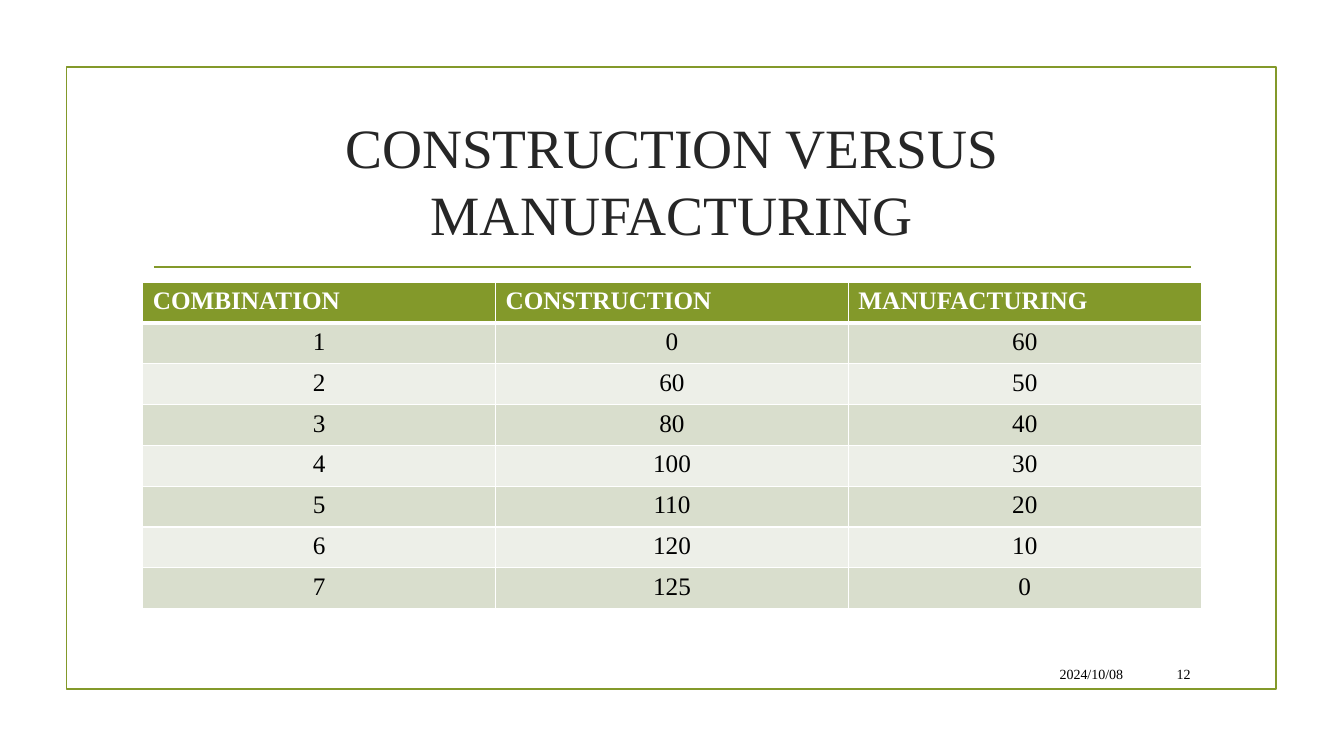
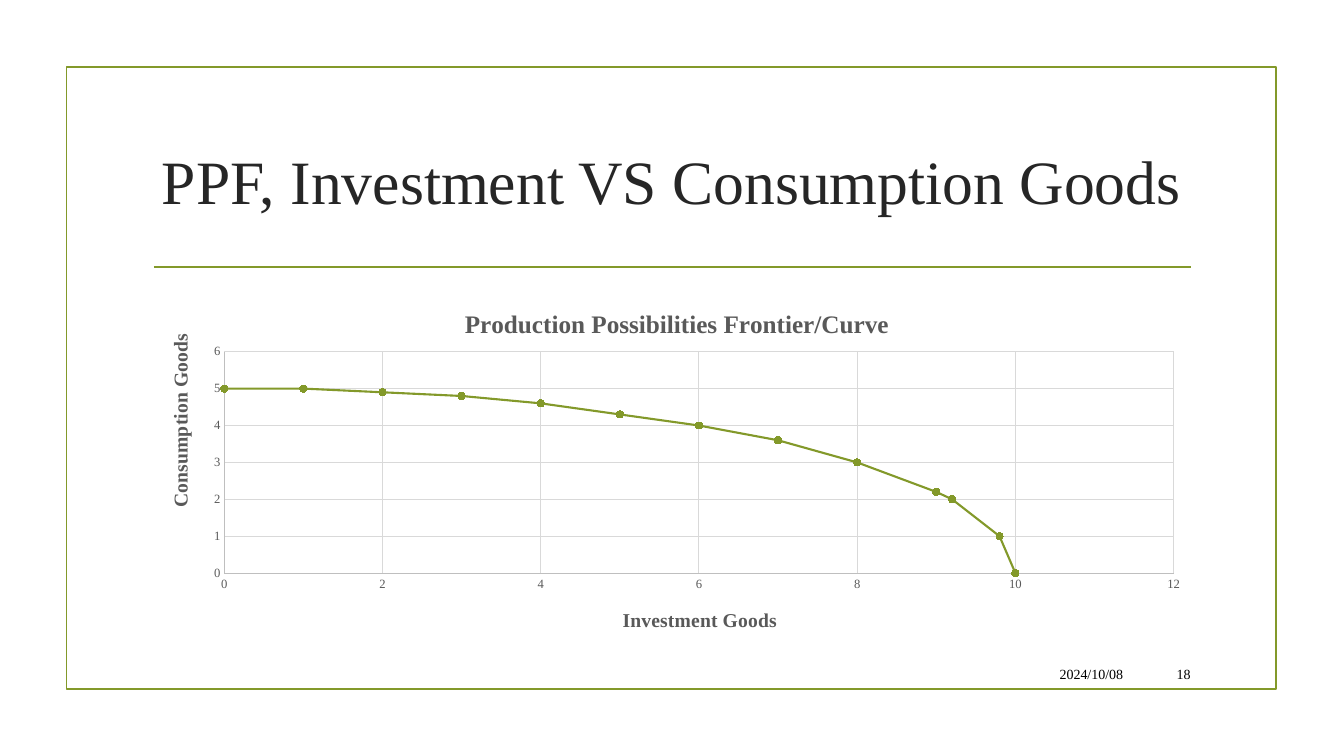
from dataclasses import dataclass

from lxml import etree
from pptx import Presentation
from pptx.chart.data import XyChartData
from pptx.dml.color import RGBColor
from pptx.enum import chart as charts, shapes, text
from pptx.oxml import parse_xml
from pptx.oxml.ns import nsdecls, qn
from pptx.util import Pt

GREEN = RGBColor(0x83, 0x99, 0x2A)
BAND_DARK = RGBColor(0xD9, 0xDE, 0xCD)
BAND_LIGHT = RGBColor(0xED, 0xEF, 0xE8)
WHITE = RGBColor(0xFF, 0xFF, 0xFF)
BLACK = RGBColor(0, 0, 0)
TITLE_INK = RGBColor(0x26, 0x26, 0x26)
CHART_INK = RGBColor(0x59, 0x59, 0x59)
AXIS_GREY = RGBColor(0xBF, 0xBF, 0xBF)
GRID_GREY = RGBColor(0xD9, 0xD9, 0xD9)
FONT = "Times New Roman"
LEFT, CENTER, RIGHT = text.PP_ALIGN.LEFT, text.PP_ALIGN.CENTER, text.PP_ALIGN.RIGHT
DATE = "2024/10/08"


@dataclass(frozen=True)
class Box:
    left: float
    top: float
    width: float
    height: float

    def lengths(self) -> tuple:
        return tuple(Pt(value) for value in (self.left, self.top, self.width, self.height))


@dataclass(frozen=True)
class AxisStyle:
    title: str
    maximum: float
    unit: float
    title_left: float
    title_top: float


FRAME = Box(47.5, 48, 864, 444)
TITLE = Box(102, 77, 756, 103)
TABLE = Box(102, 201.6, 756, 233.3)
CHART = Box(102, 201.6, 756, 261.4)
DATE_BOX = Box(683.3, 470.2, 126, 22.3)
NUMBER_BOX = Box(815, 470.2, 42.5, 22.3)
RULE_START, RULE_END, RULE_TOP = 110, 850.5, 190.8

COMBINATIONS = [
    ("COMBINATION", "CONSTRUCTION", "MANUFACTURING"),
    (1, 0, 60),
    (2, 60, 50),
    (3, 80, 40),
    (4, 100, 30),
    (5, 110, 20),
    (6, 120, 10),
    (7, 125, 0),
]
FRONTIER = [
    (0, 5), (1, 5), (2, 4.9), (3, 4.8), (4, 4.6), (5, 4.3), (6, 4),
    (7, 3.6), (8, 3), (9, 2.2), (9.2, 2), (9.8, 1), (10, 0),
]
INVESTMENT = AxisStyle("Investment Goods", 12, 2, 0.45, 0.88)
CONSUMPTION = AxisStyle("Consumption Goods", 6, 1, 0.02, 0.13)


def style_font(font, *, size: float, color: RGBColor, bold: bool = False) -> None:
    font.name = FONT
    font.size = Pt(size)
    font.bold = bold
    font.color.rgb = color


def write(frame, content: str, *, size: float, color: RGBColor = BLACK,
          bold: bool = False, align=None) -> None:
    paragraph = frame.paragraphs[0]
    if align is not None:
        paragraph.alignment = align
    run = paragraph.add_run()
    run.text = content
    style_font(run.font, size=size, color=color, bold=bold)


def style_line(line, color: RGBColor, width: float) -> None:
    line.color.rgb = color
    line.width = Pt(width)


def add_footer(slide, box: Box, content: str) -> None:
    frame = slide.shapes.add_textbox(*box.lengths()).text_frame
    frame.word_wrap = True
    frame.vertical_anchor = text.MSO_ANCHOR.MIDDLE
    write(frame, content, size=10, align=RIGHT)


def add_slide(presentation, title: str, title_size: float, number: int):
    slide = presentation.slides.add_slide(presentation.slide_layouts[5])
    border = slide.shapes.add_shape(shapes.MSO_SHAPE.RECTANGLE, *FRAME.lengths())
    border.shadow.inherit = False
    border.fill.background()
    style_line(border.line, GREEN, 1.25)
    rule = slide.shapes.add_connector(
        shapes.MSO_CONNECTOR.STRAIGHT,
        Pt(RULE_START), Pt(RULE_TOP), Pt(RULE_END), Pt(RULE_TOP))
    style_line(rule.line, GREEN, 1.25)
    etree.SubElement(rule._element.spPr, qn("a:effectLst"))

    heading = slide.shapes.title
    heading.left, heading.top, heading.width, heading.height = TITLE.lengths()
    frame = heading.text_frame
    frame.word_wrap = True
    frame.auto_size = text.MSO_AUTO_SIZE.NONE
    frame.vertical_anchor = text.MSO_ANCHOR.MIDDLE
    write(frame, title, size=title_size, color=TITLE_INK, align=CENTER)
    add_footer(slide, DATE_BOX, DATE)
    add_footer(slide, NUMBER_BOX, str(number))
    return slide


def set_borders(cell, top: float, bottom: float) -> None:
    properties = cell._tc.get_or_add_tcPr()
    widths = {"lnL": 1, "lnR": 1, "lnT": top, "lnB": bottom}
    for index, (side, width) in enumerate(widths.items()):
        properties.insert(index, parse_xml(
            f'<a:{side} {nsdecls("a")} w="{Pt(width)}"><a:solidFill>'
            f'<a:srgbClr val="{WHITE}"/></a:solidFill></a:{side}>'))


def add_combination_table(slide) -> None:
    row_count, column_count = len(COMBINATIONS), len(COMBINATIONS[0])
    table = slide.shapes.add_table(row_count, column_count, *TABLE.lengths()).table
    for row in table.rows:
        row.height = Pt(TABLE.height / row_count)
    for row_index, values in enumerate(COMBINATIONS):
        header = row_index == 0
        band = BAND_DARK if row_index % 2 else BAND_LIGHT
        for column_index, value in enumerate(values):
            cell = table.cell(row_index, column_index)
            cell.fill.solid()
            cell.fill.fore_color.rgb = GREEN if header else band
            set_borders(cell, top=3 if row_index == 1 else 1, bottom=3 if header else 1)
            write(cell.text_frame, str(value), size=18, bold=header,
                  color=WHITE if header else BLACK, align=LEFT if header else CENTER)


def place(parent, index: int, **values: float) -> None:
    for layout in parent.findall(qn("c:layout")):
        parent.remove(layout)
    modes = "".join(f'<c:{axis}Mode val="edge"/>' for axis in "xy")
    target = '<c:layoutTarget val="inner"/>' if "w" in values else ""
    sizes = "".join(f'<c:{key} val="{value}"/>' for key, value in values.items())
    parent.insert(index, parse_xml(
        f'<c:layout {nsdecls("c")}><c:manualLayout>{target}{modes}{sizes}'
        f'</c:manualLayout></c:layout>'))


def style_axis(axis, style: AxisStyle) -> None:
    axis.minimum_scale, axis.maximum_scale = 0, style.maximum
    axis.major_unit = style.unit
    axis.major_tick_mark = axis.minor_tick_mark = charts.XL_TICK_MARK.NONE
    axis.has_major_gridlines = True
    style_line(axis.major_gridlines.format.line, GRID_GREY, 0.75)
    style_line(axis.format.line, AXIS_GREY, 0.75)
    style_font(axis.tick_labels.font, size=9, color=CHART_INK)
    write(axis.axis_title.text_frame, style.title, size=14, color=CHART_INK, bold=True)
    place(axis.axis_title._element, 1, x=style.title_left, y=style.title_top)


def add_frontier_chart(slide) -> None:
    data = XyChartData()
    points = data.add_series("Series 1")
    for investment, consumption in FRONTIER:
        points.add_data_point(investment, consumption)
    chart = slide.shapes.add_chart(
        charts.XL_CHART_TYPE.XY_SCATTER_LINES, *CHART.lengths(), data).chart
    style_font(chart.font, size=10, color=BLACK)
    chart.has_legend = False
    chart.has_title = True
    write(chart.chart_title.text_frame, "Production Possibilities Frontier/Curve",
          size=18, color=CHART_INK, bold=True)
    place(chart.chart_title._element, 1, x=0.3, y=0.06)
    style_axis(chart.category_axis, INVESTMENT)
    style_axis(chart.value_axis, CONSUMPTION)
    place(chart._chartSpace.chart.plotArea, 0, x=0.077, y=0.19, w=0.897, h=0.605)

    plot = chart.plots[0]
    plot.vary_by_categories = False
    series = plot.series[0]
    series.smooth = False
    style_line(series.format.line, GREEN, 1.5)
    marker = series.marker
    marker.style = charts.XL_MARKER_STYLE.CIRCLE
    marker.size = 5
    marker.format.fill.solid()
    marker.format.fill.fore_color.rgb = GREEN
    style_line(marker.format.line, GREEN, 0.75)


def main() -> None:
    presentation = Presentation()
    presentation.slide_width, presentation.slide_height = Pt(960), Pt(540)
    add_combination_table(
        add_slide(presentation, "CONSTRUCTION VERSUS MANUFACTURING", 39.6, 12))
    add_frontier_chart(
        add_slide(presentation, "PPF, Investment VS Consumption Goods", 44, 18))
    presentation.save("out.pptx")


if __name__ == "__main__":
    main()
